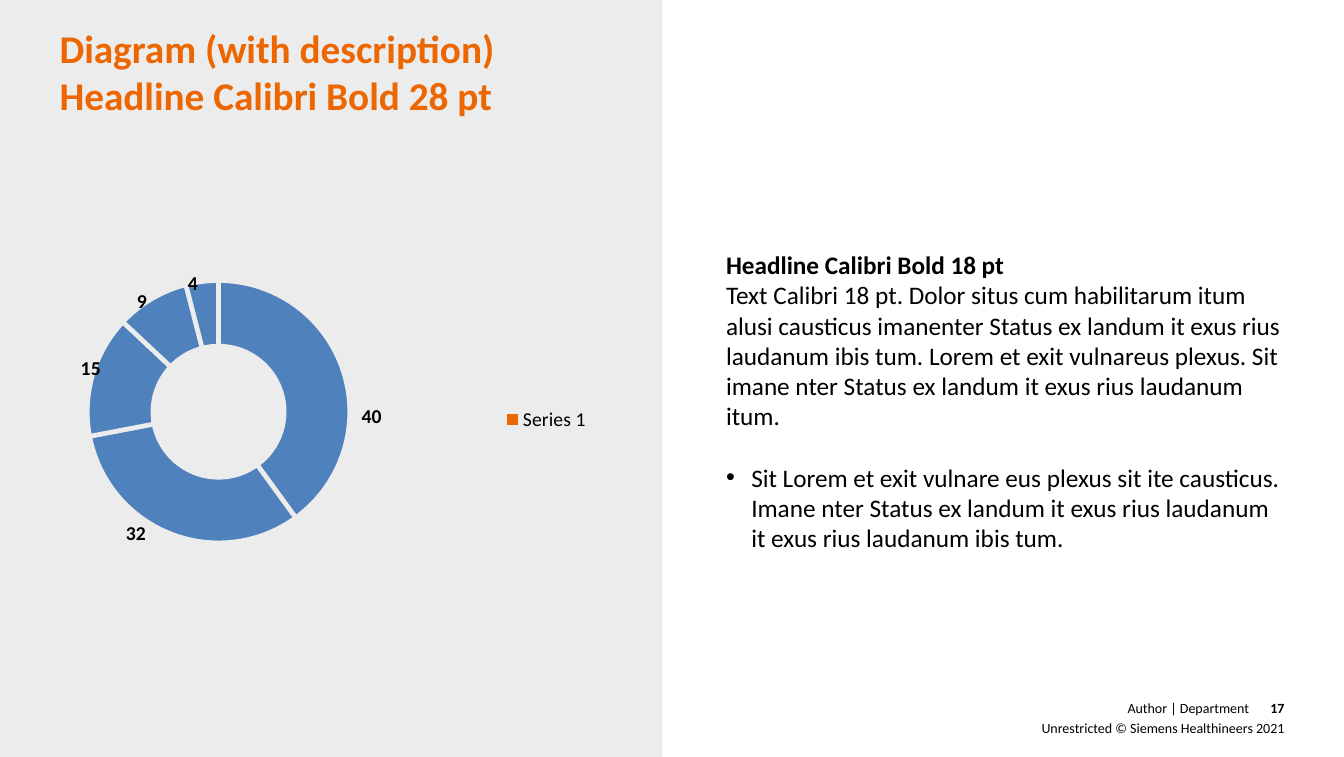
from dataclasses import dataclass

from pptx import Presentation
from pptx.chart.data import CategoryChartData
from pptx.dml.color import RGBColor as Rgb
from pptx.enum.chart import XL_CHART_TYPE as ChartType, XL_LEGEND_POSITION as LegendSide
from pptx.enum.shapes import MSO_SHAPE as Shape
from pptx.enum.text import MSO_ANCHOR as Anchor, PP_ALIGN as Align
from pptx.oxml import parse_xml
from pptx.oxml.ns import nsdecls, qn
from pptx.util import Inches, Pt


@dataclass(frozen=True)
class Theme:
    font: str = "Calibri"
    orange: Rgb = Rgb(0xEC, 0x66, 0x02)
    black: Rgb = Rgb(0, 0, 0)
    panel: Rgb = Rgb(0xEC, 0xEC, 0xEC)
    title: Pt = Pt(28)
    body: Pt = Pt(18)
    chart: Pt = Pt(14)
    footer: Pt = Pt(10)


def set_all(target, **values):
    for name, value in values.items():
        setattr(target, name, value)


def manual_layout(**values):
    """Build a chart layout; edge modes are given only with a size."""
    modes = {"xMode": "edge", "yMode": "edge"} if "w" in values else {}
    if "layoutTarget" in values:
        modes = {"layoutTarget": values.pop("layoutTarget"), **modes}
    items = "".join(f'<c:{tag} val="{value}"/>' for tag, value in {**modes, **values}.items())
    return parse_xml(f'<c:layout {nsdecls("c")}><c:manualLayout>{items}</c:manualLayout></c:layout>')


class SlideBuilder:
    def __init__(self, page, theme):
        self.page = page
        self.theme = theme

    def style(self, font, size, bold=False, color=None):
        set_all(font, name=self.theme.font, size=size, bold=bold)
        font.color.rgb = color or self.theme.black

    def panel(self, *place):
        panel = self.page.shapes.add_shape(Shape.RECTANGLE, *map(Inches, place))
        panel.shadow.inherit = False
        panel.fill.solid()
        panel.fill.fore_color.rgb = self.theme.panel
        panel.line.fill.background()

    def text(self, place, paragraphs, size, color=None, align=Align.LEFT, anchor=Anchor.TOP):
        """Each paragraph is (wording, bold, bulleted)."""
        frame = self.page.shapes.add_textbox(*map(Inches, place)).text_frame
        set_all(frame, word_wrap=True, vertical_anchor=anchor, margin_left=0,
                margin_right=0, margin_top=0, margin_bottom=0)
        for index, (wording, bold, bulleted) in enumerate(paragraphs):
            para = frame.add_paragraph() if index else frame.paragraphs[0]
            para.text = wording
            para.alignment = align
            if bulleted:
                self.bullet(para)
            for span in para.runs:
                self.style(span.font, size, bold, color)

    def bullet(self, para):
        para.space_before = Pt(22)
        props = para._p.get_or_add_pPr()
        props.set("marL", str(Inches(0.25)))
        props.set("indent", str(-Inches(0.25)))
        props.append(parse_xml(f'<a:buFont {nsdecls("a")} typeface="Arial"/>'))
        props.append(parse_xml(f'<a:buChar {nsdecls("a")} char="•"/>'))

    def doughnut(self, place, categories, values, label_shifts):
        data = CategoryChartData()
        data.categories = categories
        data.add_series("Series 1", values)
        chart = self.page.shapes.add_chart(
            ChartType.DOUGHNUT, *map(Inches, place), data).chart
        set_all(chart, has_title=False, has_legend=True)
        self.style(chart.font, self.theme.body)

        # Ring
        plot = chart.plots[0]
        plot.vary_by_categories = False
        series = plot.series[0]
        series.format.fill.solid()
        series.format.fill.fore_color.rgb = self.theme.orange
        series.format.line.color.rgb = self.theme.panel
        series.format.line.width = Pt(3.33)
        root = chart._chartSpace
        root.find(".//" + qn("c:holeSize")).set("val", "78")
        area = root.find(".//" + qn("c:plotArea"))
        for layout in area.findall(qn("c:layout")):
            area.remove(layout)
        area.insert(0, manual_layout(layoutTarget="inner", x=0.13, y=0.2, w=0.4, h=0.52))

        # Value labels, moved outwards
        labels = series.data_labels
        set_all(labels, show_value=True, show_percentage=False)
        self.style(labels.font, self.theme.chart, True)
        for index, (x, y) in enumerate(label_shifts):
            self.style(series.points[index].data_label.font, self.theme.chart, True)
            label = root.findall(".//" + qn("c:dLbl"))[index]
            label.insert(1, manual_layout(x=x, y=y))
        for leader in root.iter(qn("c:showLeaderLines")):
            leader.set("val", "0")

        # Legend
        legend = chart.legend
        set_all(legend, position=LegendSide.RIGHT, include_in_layout=False)
        self.style(legend.font, self.theme.chart)
        element = legend._element
        for layout in element.findall(qn("c:layout")):
            element.remove(layout)
        element.find(qn("c:legendPos")).addnext(manual_layout(x=0.71, y=0.32, w=0.23, h=0.31))


def main():
    deck = Presentation()
    set_all(deck, slide_width=Inches(13.31), slide_height=Inches(7.5))
    theme = Theme()
    slide = SlideBuilder(deck.slides.add_slide(deck.slide_layouts[6]), theme)

    # Left side: headline and chart
    slide.panel(0, 0, 6.56, 7.5)
    slide.text((0.59, 0.24, 5.14, 0.91),
               [("Diagram (with description)\nHeadline Calibri Bold 28 pt", True, False)],
               theme.title, theme.orange)
    slide.doughnut((0, 1.78, 6.56, 5), ["Sit imane 14pt"] + ["Sit imane"] * 4,
                   [40, 32, 15, 9, 4],
                   [(0.09, 0.07), (-0.07, 0.06), (-0.05, -0.03), (-0.04, -0.05), (-0.02, -0.06)])

    # Right side: description
    slide.text((7.19, 2.47, 5.53, 4.3), [
        ("Headline Calibri Bold 18 pt", True, False),
        ("Text Calibri 18 pt. Dolor situs cum habilitarum itum alusi causticus imanenter "
         "Status ex landum it exus rius laudanum ibis tum. Lorem et exit vulnareus plexus. "
         "Sit imane nter Status ex landum it exus rius laudanum itum.", False, False),
        ("Sit Lorem et exit vulnare eus plexus sit ite causticus. Imane nter Status ex "
         "landum it exus rius laudanum it exus rius laudanum ibis tum.", False, True),
    ], theme.body)

    # Footer
    for place, wording, bold, anchor in [
        ((8.81, 6.93, 3.56, 0.16), "Author | Department", False, Anchor.TOP),
        ((12.41, 6.93, 0.31, 0.16), "17", True, Anchor.MIDDLE),
        ((8.76, 7.13, 3.96, 0.17), "Unrestricted © Siemens Healthineers 2021", False, Anchor.TOP),
    ]:
        slide.text(place, [(wording, bold, False)], theme.footer, align=Align.RIGHT, anchor=anchor)

    deck.save("out.pptx")


if __name__ == "__main__":
    main()
